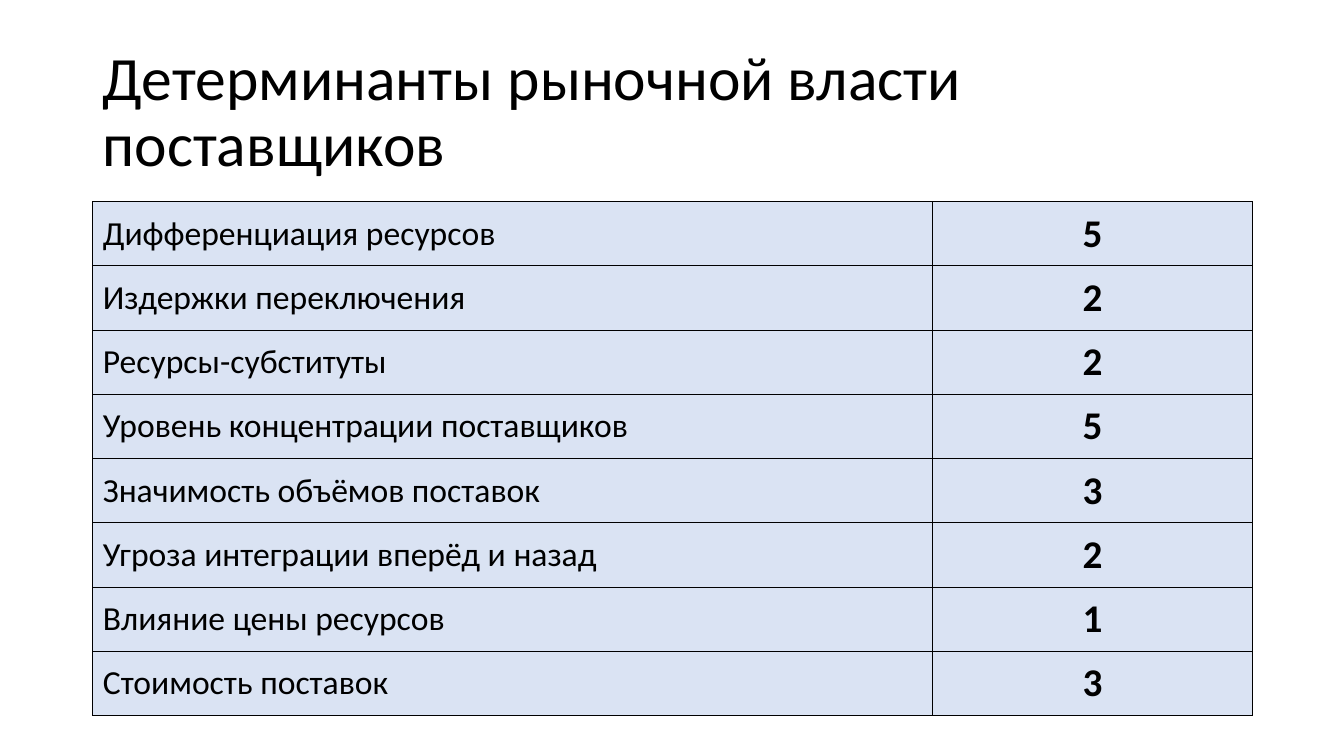
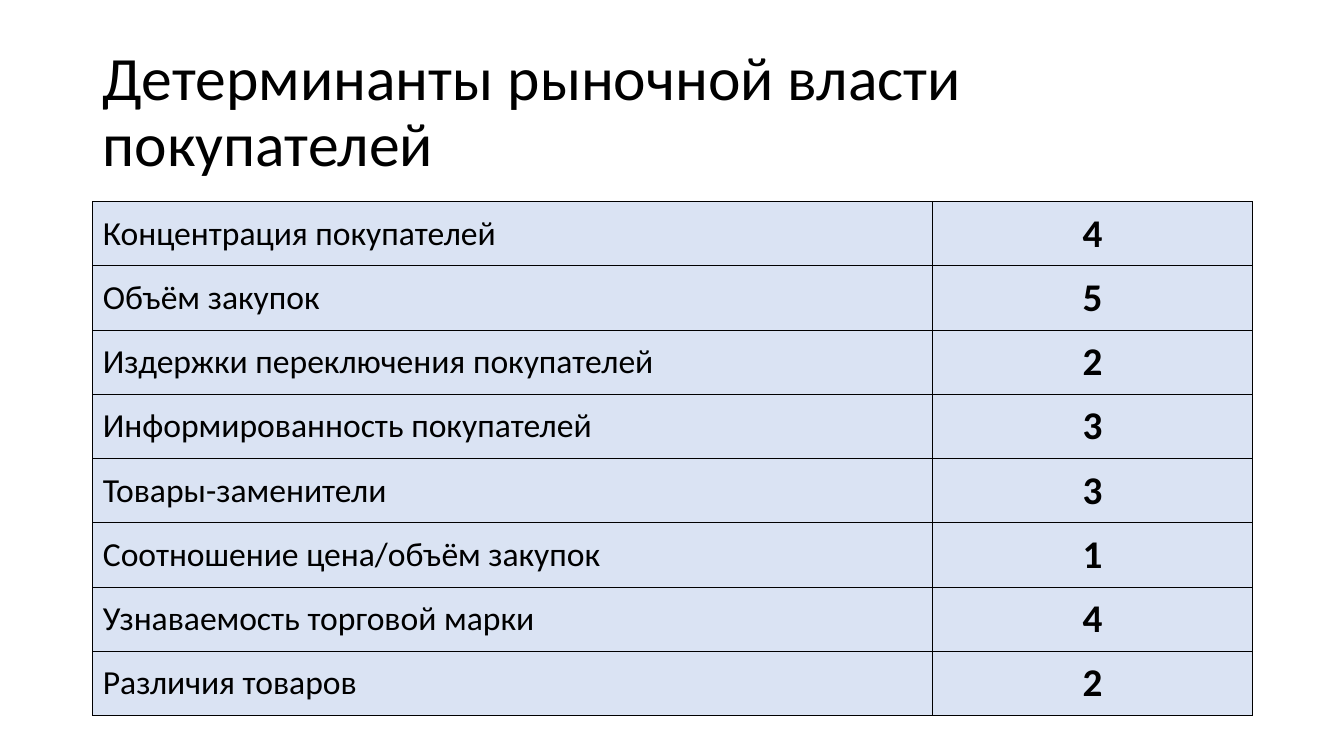
import pptx
import pptx.util
import pptx.dml.color
import pptx.enum.text
import pptx.oxml
import pptx.oxml.ns

SCALE = 9144
ALIGN = pptx.enum.text.PP_ALIGN
MIDDLE = pptx.enum.text.MSO_ANCHOR.MIDDLE

SLIDES = [
    ("Детерминанты рыночной власти поставщиков", [
        ("Дифференциация ресурсов", 5),
        ("Издержки переключения", 2),
        ("Ресурсы-субституты", 2),
        ("Уровень концентрации поставщиков", 5),
        ("Значимость объёмов поставок", 3),
        ("Угроза интеграции вперёд и назад", 2),
        ("Влияние цены ресурсов", 1),
        ("Стоимость поставок", 3),
    ]),
    ("Детерминанты рыночной власти покупателей", [
        ("Концентрация покупателей", 4),
        ("Объём закупок", 5),
        ("Издержки переключения покупателей", 2),
        ("Информированность покупателей", 3),
        ("Товары-заменители", 3),
        ("Соотношение цена/объём закупок", 1),
        ("Узнаваемость торговой марки", 4),
        ("Различия товаров", 2),
    ]),
]


def px(n):
    return pptx.util.Emu(n * SCALE)


def rgb(color):
    return pptx.dml.color.RGBColor.from_string(color)


def write(tf, text, size, color, font, bold=False, align=ALIGN.LEFT, spacing=None):
    p = tf.paragraphs[0]
    p.alignment = align
    p.line_spacing = spacing
    r = p.add_run()
    r.text = text
    r.font.name = font
    r.font.size = pptx.util.Pt(size)
    r.font.bold = bold
    r.font.color.rgb = rgb(color)


class Deck:
    font = "Calibri"
    ink = "000000"
    cell_fill = "DAE3F3"
    border = 1
    left = 92
    columns = (833, 317)

    def __init__(self):
        self.prs = pptx.Presentation()
        self.prs.slide_width, self.prs.slide_height = px(1333), px(750)
        self.s = None

    def slide(self):
        self.s = self.prs.slides.add_slide(self.prs.slide_layouts[6])

    def title(self, text):
        sp = self.s.shapes.add_textbox(px(self.left), px(40), px(sum(self.columns)), px(145))
        tf = sp.text_frame
        tf.word_wrap = True
        tf.vertical_anchor = MIDDLE
        write(tf, text, 44, self.ink, self.font, spacing=0.9)

    def table(self, rows):
        frame = self.s.shapes.add_table(len(rows), len(self.columns), px(self.left), px(200),
                                        px(sum(self.columns)), px(510))
        tbl = frame.table
        tbl.first_row = tbl.horz_banding = False
        for column, width in zip(tbl.columns, self.columns):
            column.width = px(width)
        for i, (factor, score) in enumerate(rows):
            self.cell(tbl.cell(i, 0), factor, size=24)
            self.cell(tbl.cell(i, 1), str(score), size=28, bold=True, align=ALIGN.CENTER)

    def cell(self, cell, text, **style):
        cell.vertical_anchor = MIDDLE
        self.borders(cell)
        cell.fill.solid()
        cell.fill.fore_color.rgb = rgb(self.cell_fill)
        write(cell.text_frame, text, color=self.ink, font=self.font, **style)

    def borders(self, cell):
        tcPr = cell._tc.get_or_add_tcPr()
        for side in "LRTB":
            tcPr.append(pptx.oxml.parse_xml(
                f'<a:ln{side} {pptx.oxml.ns.nsdecls("a")} w="{pptx.util.Pt(self.border)}">'
                f'<a:solidFill><a:srgbClr val="{self.ink}"/></a:solidFill></a:ln{side}>'))


def main():
    deck = Deck()
    for title, rows in SLIDES:
        deck.slide()
        deck.title(title)
        deck.table(rows)
    deck.prs.save("out.pptx")


if __name__ == "__main__":
    main()
